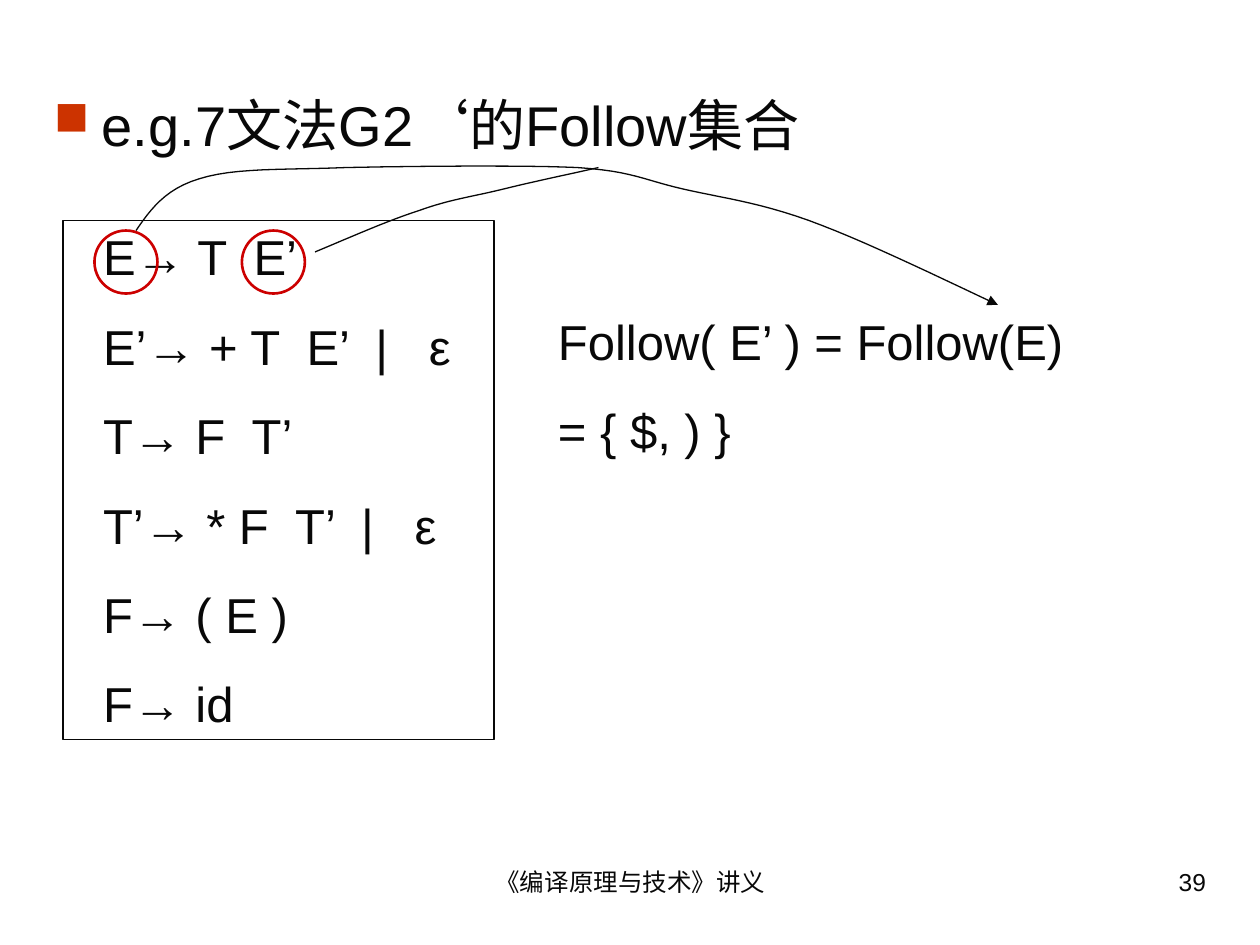
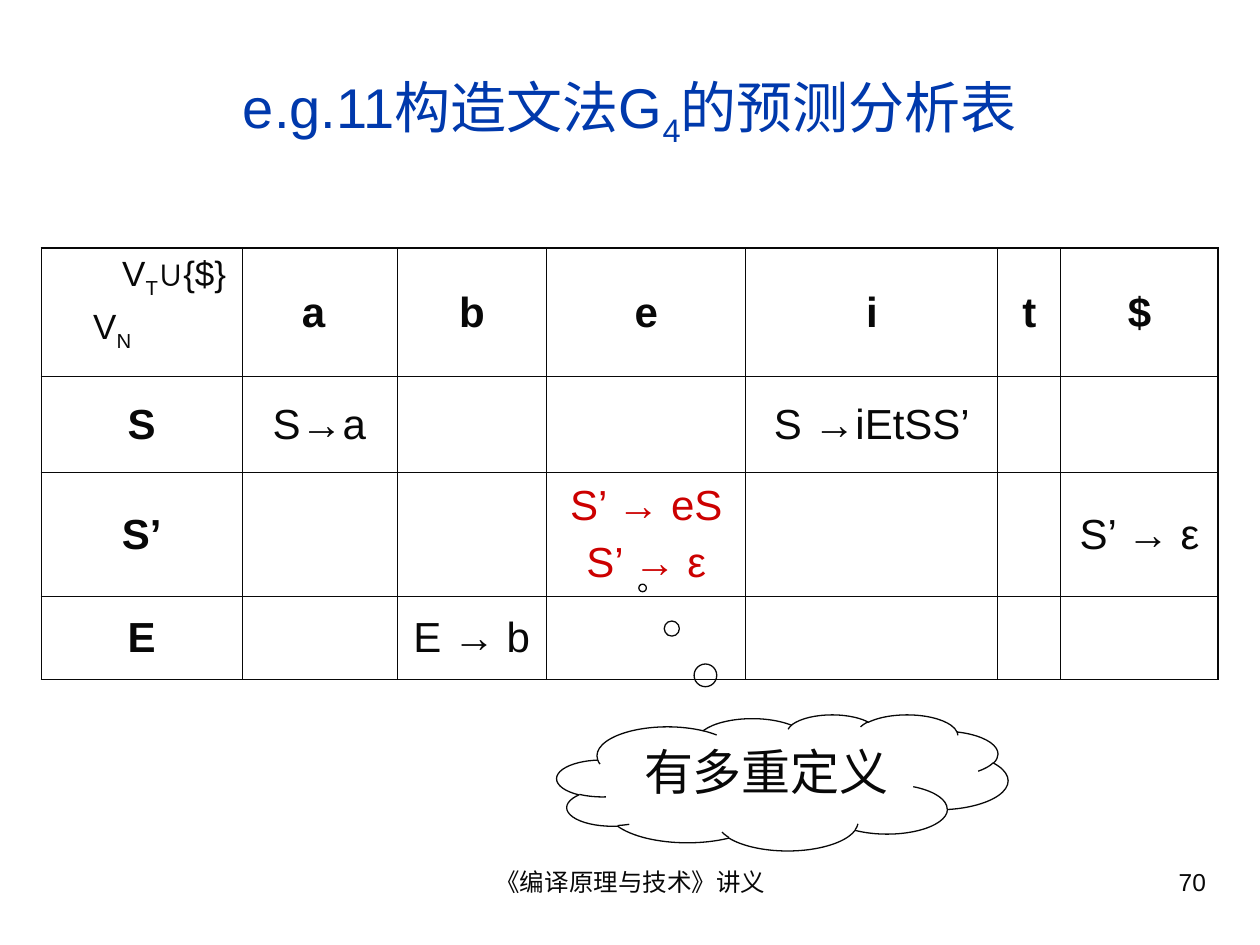
"""Builds two lecture slides on Follow sets and a predictive parsing table."""
from lxml import etree
from pptx import Presentation
from pptx.dml.color import RGBColor
from pptx.enum.shapes import MSO_SHAPE
from pptx.enum.text import MSO_ANCHOR, PP_ALIGN
from pptx.oxml import parse_xml
from pptx.oxml.ns import qn
from pptx.util import Inches, Pt

LEFT, MID, RIGHT = PP_ALIGN.LEFT, PP_ALIGN.CENTER, PP_ALIGN.RIGHT
TOP, CENTER = MSO_ANCHOR.TOP, MSO_ANCHOR.MIDDLE
RECT, OVAL, CLOUD = MSO_SHAPE.RECTANGLE, MSO_SHAPE.OVAL, MSO_SHAPE.CLOUD_CALLOUT
NS = "http://schemas.openxmlformats.org/drawingml/2006/main"
INK, RED, BLUE, RUST = "080808", "CC0000", "0039AC", "CC3300"
FONT = "Arial"

FOOTER = "《编译原理与技术》讲义"
TOPIC = "e.g.7文法G2‘的Follow集合"
RULES = ["E→ T  E’", "E’→ + T  E’  |   ε", "T→ F  T’",
         "T’→ * F  T’  |   ε", "F→ ( E )", "F→ id"]
FOLLOW = ["Follow( E’ ) = Follow(E)", "= { $, ) }"]
RINGS = [1.92, 0.75]
LONG = [(1.08, 1.83), (1.19, 1.67), (1.31, 1.5), (1.58, 1.42),
        (1.86, 1.33), (2.25, 1.35), (2.75, 1.33),
        (3.25, 1.32), (4.14, 1.31), (4.58, 1.33),
        (5.03, 1.36), (5.11, 1.43), (5.42, 1.5),
        (5.72, 1.57), (6, 1.6), (6.42, 1.75),
        (6.83, 1.9), (7.37, 2.16), (7.92, 2.42)]
SHORT = [(2.5, 2), (2.79, 1.88), (3.08, 1.75), (3.33, 1.67),
         (3.58, 1.58), (3.76, 1.56), (4, 1.5),
         (4.24, 1.44), (4.49, 1.39), (4.75, 1.33)]

TITLE = "e.g.11构造文法G_4_的预测分析表"
CORNER = ["V_T_∪{$}", "V_N_"]
GRID = [["", "a ", "b", "e", "i", "t", "$"],
        ["S", "S→a", "", "", "S →iEtSS’", "", ""],
        ["S’", "", "", "S’ → eS\nS’ → ε", "", "", "S’ → ε"],
        ["E", "", "E → b", "", "", "", ""]]
COLS = [1.59, 1.23, 1.19, 1.58, 2, 0.5, 1.25]
ROWS = [1.02, 0.76, 0.98, 0.66]
CLASH = (2, 3)
NOTE = "有多重定义"


def paint(text):
    return RGBColor.from_string(text)


def write(frame, lines, size, color=INK, align=LEFT, gap=0, pads=(), bold=False):
    """Fill a frame; text between underscores is subscript."""
    for i, line in enumerate(lines):
        para = frame.paragraphs[0] if i == 0 else frame.add_paragraph()
        para.alignment = align
        if i:
            para.space_before = Pt(gap)
        if pads:
            para._p.get_or_add_pPr().set("marL", str(Inches(pads[i])))
        for k, part in enumerate(line.split("_")):
            if not part:
                continue
            run = para.add_run()
            run.text = part
            form = {"name": FONT, "size": Pt(size), "bold": bold}
            for key, val in form.items():
                setattr(run.font, key, val)
            run.font.color.rgb = paint(color)
            if k % 2:
                run._r.get_or_add_rPr().set("baseline", "-25000")


def label(slide, spot, lines, size, anchor=TOP, **form):
    frame = slide.shapes.add_textbox(*map(Inches, spot)).text_frame
    frame.word_wrap = True
    frame.vertical_anchor = anchor
    write(frame, lines, size, **form)
    return frame


def trace(shape, color=INK, width=0.75):
    shape.shadow.inherit = False
    shape.fill.background()
    shape.line.color.rgb = paint(color)
    shape.line.width = Pt(width)
    return shape


def draw(slide, kind, spot, *pen):
    shape = trace(slide.shapes.add_shape(kind, *map(Inches, spot)), *pen)
    shape.text_frame.word_wrap = True
    shape.text_frame.vertical_anchor = TOP
    return shape


def curve(slide, knots, steps=12):
    """Draw joined cubic curves through every third knot."""
    dots = []
    for i in range(0, len(knots) - 1, 3):
        for n in range(1, steps + 1):
            t = n / steps
            mix = ((1 - t) ** 3, 3 * t * (1 - t) ** 2, 3 * t * t * (1 - t), t ** 3)
            dots.append([Inches(sum(m * k[axis] for m, k in zip(mix, knots[i:i + 4])))
                         for axis in (0, 1)])
    path = slide.shapes.build_freeform(*map(Inches, knots[0]))
    path.add_line_segments(dots, close=False)
    return trace(path.convert_to_shape())


def bullet(para, mark, color):
    props = para._p.get_or_add_pPr()
    props.set("marL", str(Inches(0.38)))
    props.set("indent", str(Inches(-0.38)))
    for xml in (f'<a:buClr xmlns:a="{NS}"><a:srgbClr val="{color}"/></a:buClr>',
                f'<a:buSzPct xmlns:a="{NS}" val="85000"/>',
                f'<a:buChar xmlns:a="{NS}" char="{mark}"/>'):
        props.append(parse_xml(xml))


def border(cell, outer):
    cell.fill.background()
    props = cell._tc.get_or_add_tcPr()
    for k, (side, edge) in enumerate(zip("LRTB", outer)):
        width = Pt(1.08 if edge else 0.45)
        props.insert(k, parse_xml(
            f'<a:ln{side} xmlns:a="{NS}" w="{width}"><a:solidFill>'
            f'<a:srgbClr val="{INK}"/></a:solidFill></a:ln{side}>'))


def page(deck, number):
    slide = deck.slides.add_slide(deck.slide_layouts[6])
    label(slide, (3.42, 6.83, 3.17, 0.52), [FOOTER], 14, align=MID)
    label(slide, (7.17, 6.83, 2.5, 0.52), [str(number)], 14, align=RIGHT)
    return slide


def follow(deck):
    slide = page(deck, 39)
    head = label(slide, (0.33, 0.67, 9.34, 0.67), [TOPIC], 32)
    bullet(head.paragraphs[0], "■", RUST)
    box = draw(slide, RECT, (0.5, 1.75, 3.42, 4.12))
    write(box.text_frame, RULES, 28, gap=17.5, pads=[0.22] * len(RULES))
    label(slide, (4.33, 2.42, 5.08, 1.28), FOLLOW, 28, gap=17.5)
    for x in RINGS:
        draw(slide, OVAL, (x, 1.83, 0.5, 0.5), RED, 1.5)
    arrow = curve(slide, LONG)
    tail = etree.SubElement(arrow.line._get_or_add_ln(), qn("a:tailEnd"))
    tail.set("type", "triangle")
    curve(slide, SHORT)


def parser(deck):
    slide = page(deck, 70)
    label(slide, (0.33, 0.25, 9.34, 1.25), [TITLE], 32, CENTER, color=BLUE, align=MID)
    spot = (0.33, 1.97, sum(COLS), sum(ROWS))
    table = slide.shapes.add_table(len(ROWS), len(COLS), *map(Inches, spot)).table
    table.first_row = table.horz_banding = False
    for col, width in zip(table.columns, COLS):
        col.width = Inches(width)
    for row, height in zip(table.rows, ROWS):
        row.height = Inches(height)
    for r, line in enumerate(GRID):
        for c, text in enumerate(line):
            cell = table.cell(r, c)
            border(cell, (c == 0, c == len(COLS) - 1, r == 0, r == len(ROWS) - 1))
            if r == c == 0:
                write(cell.text_frame, CORNER, 20, gap=5, pads=[0.54, 0.31])
            elif text:
                cell.vertical_anchor = CENTER
                write(cell.text_frame, text.split("\n"), 24, align=MID, gap=6,
                      color=RED if (r, c) == CLASH else INK, bold=r == 0 or c == 0)
    cloud = draw(slide, CLOUD, (4.42, 5.67, 3.58, 1.08))
    cloud.adjustments[0], cloud.adjustments[1] = -0.31, -1.43
    write(cloud.text_frame, [NOTE], 28, align=MID)


def main():
    deck = Presentation()
    deck.slide_width, deck.slide_height = Inches(10), Inches(7.5)
    follow(deck)
    parser(deck)
    deck.save("out.pptx")


if __name__ == "__main__":
    main()
